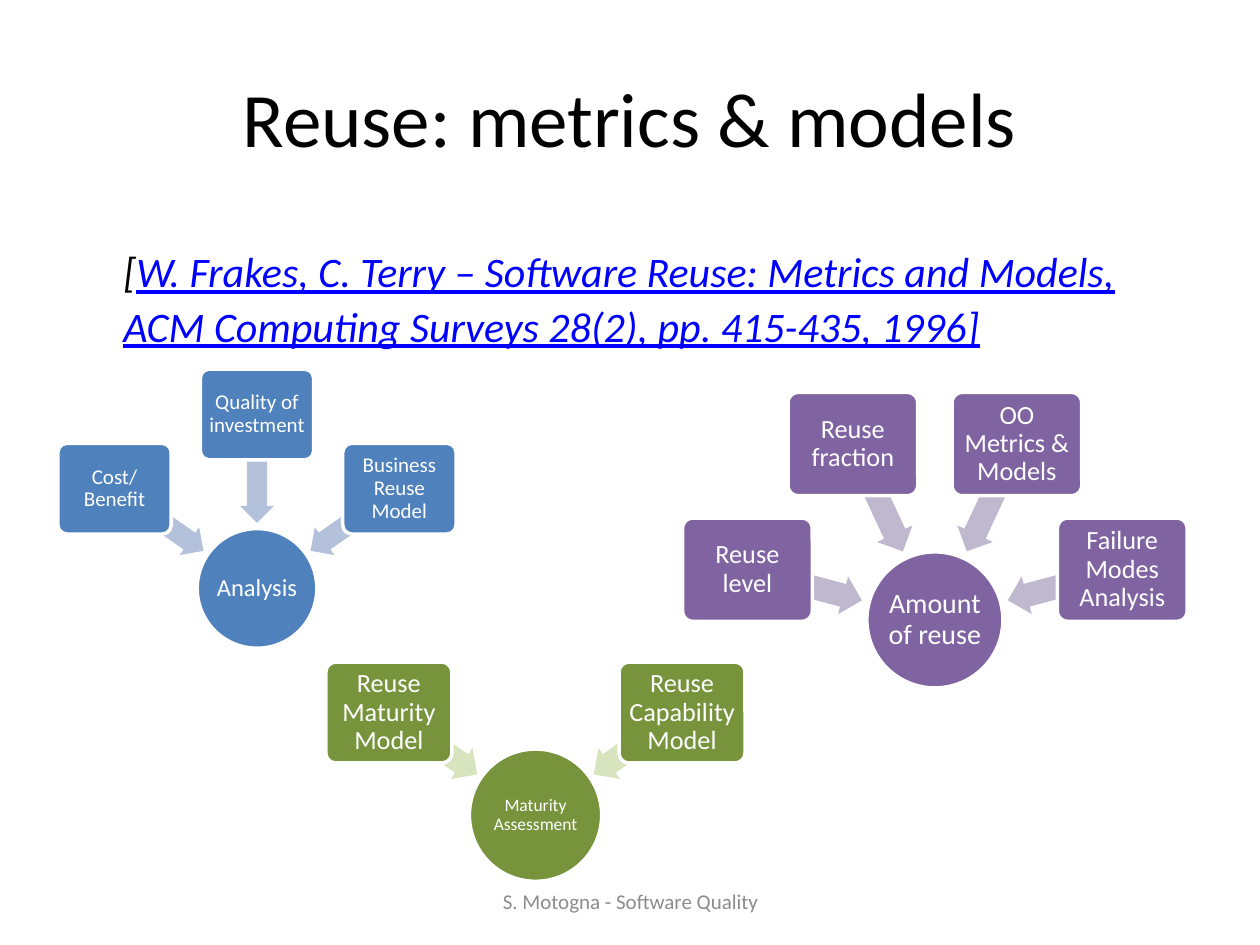
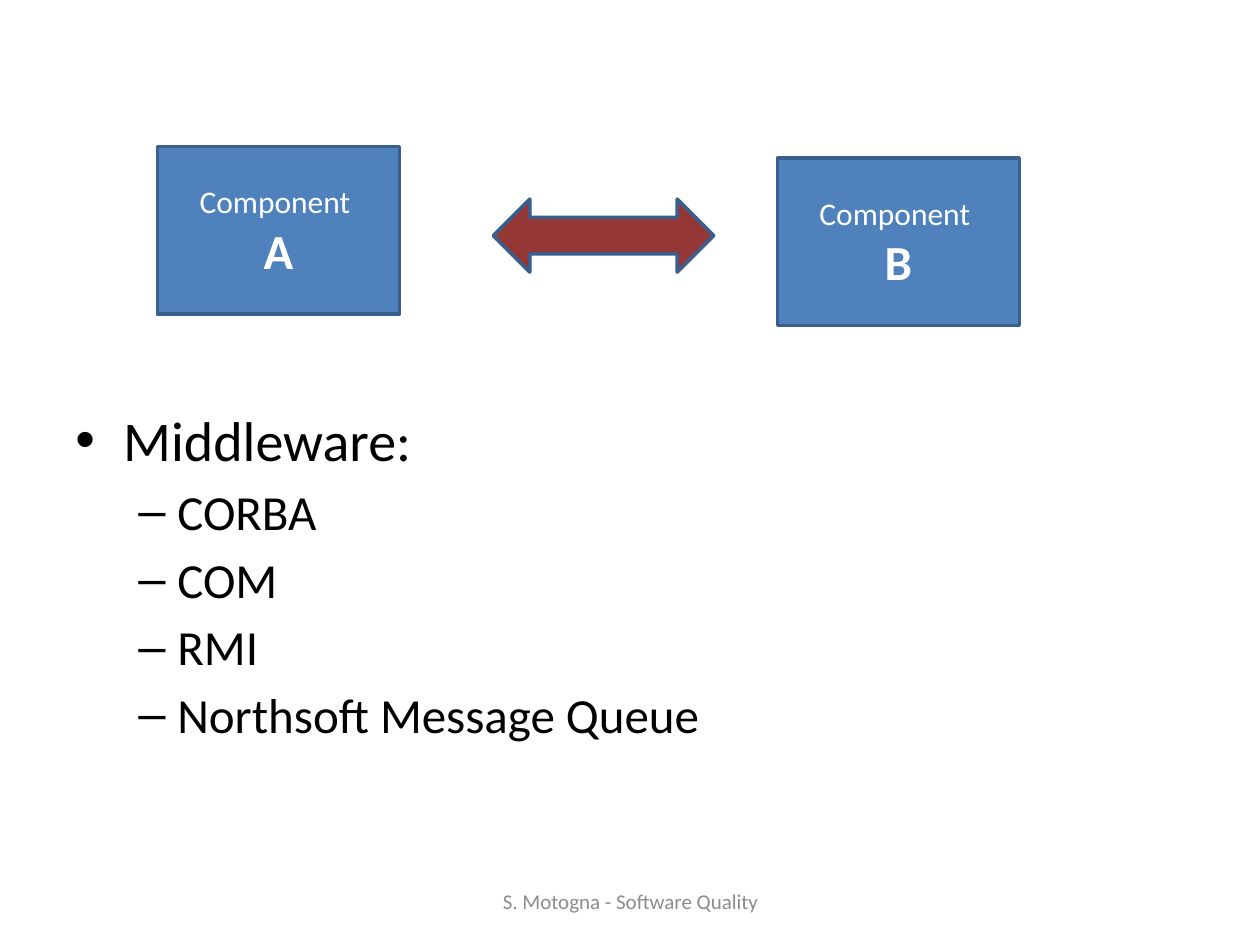
from dataclasses import dataclass
from math import cos, radians, sin

from lxml import etree
from pptx import Presentation
from pptx.dml.color import RGBColor
from pptx.enum.shapes import MSO_SHAPE
from pptx.enum.text import MSO_ANCHOR, PP_ALIGN
from pptx.oxml.ns import qn
from pptx.util import Inches, Pt

CENTER, LEFT = PP_ALIGN.CENTER, PP_ALIGN.LEFT
MIDDLE, TOP = MSO_ANCHOR.MIDDLE, MSO_ANCHOR.TOP
ELLIPSE, ROUNDED, RECTANGLE = MSO_SHAPE.OVAL, MSO_SHAPE.ROUNDED_RECTANGLE, MSO_SHAPE.RECTANGLE
LEFT_ARROW, DOUBLE_ARROW = MSO_SHAPE.LEFT_ARROW, MSO_SHAPE.LEFT_RIGHT_ARROW


@dataclass(frozen=True)
class Theme:
    font: str = "Calibri"
    black: str = "000000"
    white: str = "FFFFFF"
    link: str = "0000FF"
    gray: str = "8C8C8C"
    blue: str = "4F81BD"
    pale_blue: str = "B3C1DB"
    outline: str = "3A5F8C"
    green: str = "77933C"
    pale_green: str = "D7E4BD"
    purple: str = "8064A2"
    pale_purple: str = "C0B8CE"
    red: str = "953735"
    title: int = 44
    bullet: int = 32
    sub_bullet: int = 28
    citation: int = 24
    component: int = 18
    footer: int = 12


theme = Theme()


def write_text(shape, lines, sizes, color, align=CENTER, anchor=MIDDLE, inset=None):
    frame = shape.text_frame
    frame.text = "\n".join(lines)
    frame.word_wrap = True
    frame.vertical_anchor = anchor
    if inset is not None:
        frame.margin_left = frame.margin_right = Inches(inset)
        frame.margin_top = frame.margin_bottom = Inches(inset)
    for para, size in zip(frame.paragraphs, sizes):
        para.alignment = align
        for span in para.runs:
            span.font.name = theme.font
            span.font.size = Pt(size)
            span.font.color.rgb = RGBColor.from_string(color)
    return frame


def draw_shape(shapes, kind, center_x, center_y, width, height, fill, line=None):
    shape = shapes.add_shape(kind, Inches(center_x - width / 2), Inches(center_y - height / 2),
                             Inches(width), Inches(height))
    shape.shadow.inherit = False
    shape.fill.solid()
    shape.fill.fore_color.rgb = RGBColor.from_string(fill)
    if line:
        shape.line.color.rgb = RGBColor.from_string(line)
        shape.line.width = Pt(2)
    else:
        shape.line.fill.background()
    return shape


deck = Presentation()
deck.slide_width, deck.slide_height = Inches(10), Inches(7.5)
metrics_page, middleware_page = [deck.slides.add_slide(deck.slide_layouts[6]) for _ in range(2)]

title_box = metrics_page.shapes.add_textbox(Inches(0.5), Inches(0.3), Inches(9), Inches(1.25))
write_text(title_box, ["Reuse: metrics & models"], [theme.title], theme.black)

citation_box = metrics_page.shapes.add_textbox(Inches(0.5), Inches(1.75), Inches(9), Inches(4.95))
citation = write_text(citation_box, ["["], [theme.citation], theme.black, LEFT, TOP)
citation.margin_left = Inches(0.48)
citation.margin_top = Inches(0.17)
para = citation.paragraphs[0]
para.line_spacing = Pt(31)
source = para.add_run()
source.text = ("W. Frakes, C. Terry – Software Reuse: Metrics and Models, "
               "ACM Computing Surveys 28(2), pp. 415-435, 1996]")
source.font.name = theme.font
source.font.size = Pt(theme.citation)
source.font.color.rgb = RGBColor.from_string(theme.link)
source.font.underline = True
for span in para.runs:
    span.font.italic = True

radial_diagrams = [
    dict(hub="Analysis", hub_size=14, center=(2.04, 4.67), diameter=0.95,
         fill=theme.blue, pale=theme.pale_blue, arrow=(0.86, 0.27), arrow_radius=0.95,
         box=(0.9, 0.72), box_radius=1.38, box_size=12,
         parts={325: "Business Reuse Model", 270: "Quality of investment", 215: "Cost/ Benefit"}),
    dict(hub="Maturity Assessment", hub_size=10, center=(4.25, 6.47), diameter=1.05,
         fill=theme.green, pale=theme.pale_green, arrow=(0.85, 0.3), arrow_radius=0.99,
         box=(1, 0.8), box_radius=1.42, box_size=15,
         parts={215: "Reuse Maturity Model", 325: "Reuse Capability Model"}),
    dict(hub="Amount of reuse", hub_size=16, center=(7.42, 4.92), diameter=1.08,
         fill=theme.purple, pale=theme.pale_purple, arrow=(0.94, 0.31), arrow_radius=1.07,
         box=(1.03, 0.82), box_radius=1.54, box_size=15,
         parts={195: "Reuse level", 245: "Reuse fraction",
                295: "OO Metrics & Models", 345: "Failure Modes Analysis"}),
]
for diagram in radial_diagrams:
    group = metrics_page.shapes.add_group_shape()
    x, y = diagram["center"]
    hub = draw_shape(group.shapes, ELLIPSE, x, y, diagram["diameter"], diagram["diameter"],
                     diagram["fill"], theme.white)
    frame = write_text(hub, [diagram["hub"]], [diagram["hub_size"]], theme.white, inset=0.01)
    frame.paragraphs[0].line_spacing = 0.9
    for angle, label in diagram["parts"].items():
        across, down = cos(radians(angle)), sin(radians(angle))
        reach = diagram["arrow_radius"]
        arrow = draw_shape(group.shapes, LEFT_ARROW, x + reach * across, y + reach * down,
                           *diagram["arrow"], diagram["pale"])
        arrow.adjustments[0] = 0.6
        arrow.adjustments[1] = 0.5
        arrow.rotation = angle
        reach = diagram["box_radius"]
        box = draw_shape(group.shapes, ROUNDED, x + reach * across, y + reach * down,
                         *diagram["box"], diagram["fill"], theme.white)
        box.adjustments[0] = 0.1
        frame = write_text(box, [label], [diagram["box_size"]], theme.white, inset=0.05)
        frame.paragraphs[0].line_spacing = 0.9

middleware = ["Middleware:", "CORBA", "COM", "RMI", "Northsoft Message Queue"]
list_box = middleware_page.shapes.add_textbox(Inches(0.5), Inches(0.67), Inches(9), Inches(6.03))
frame = write_text(list_box, middleware, [theme.bullet] + [theme.sub_bullet] * 4,
                   theme.black, LEFT, TOP)
frame.margin_top = Inches(2.55)
for index, para in enumerate(frame.paragraphs):
    level = min(index, 1)
    para.level = level
    para.space_before = Pt(5 * level)
    margin, hanging, symbol = [(0.38, 0.38, "•"), (0.81, 0.31, "–")][level]
    properties = para._p.get_or_add_pPr()
    properties.set("marL", str(Inches(margin)))
    properties.set("indent", str(-Inches(hanging)))
    etree.SubElement(properties, qn("a:buFont"), typeface="Arial")
    etree.SubElement(properties, qn("a:buChar"), char=symbol)

for letter, center_x, center_y in [("A", 2.21, 1.83), ("B", 7.13, 1.92)]:
    component = draw_shape(middleware_page.shapes, RECTANGLE, center_x, center_y, 1.92, 1.33,
                           theme.blue, theme.outline)
    frame = write_text(component, ["Component ", letter], [theme.component, theme.sub_bullet],
                       theme.white)
    frame.paragraphs[1].runs[0].font.bold = True
draw_shape(middleware_page.shapes, DOUBLE_ARROW, 4.79, 1.87, 1.75, 0.58, theme.red, theme.outline)

for page in deck.slides:
    footer = page.shapes.add_textbox(Inches(3.42), Inches(6.95), Inches(3.17), Inches(0.4))
    write_text(footer, ["S. Motogna - Software Quality"], [theme.footer], theme.gray)

deck.save("out.pptx")
